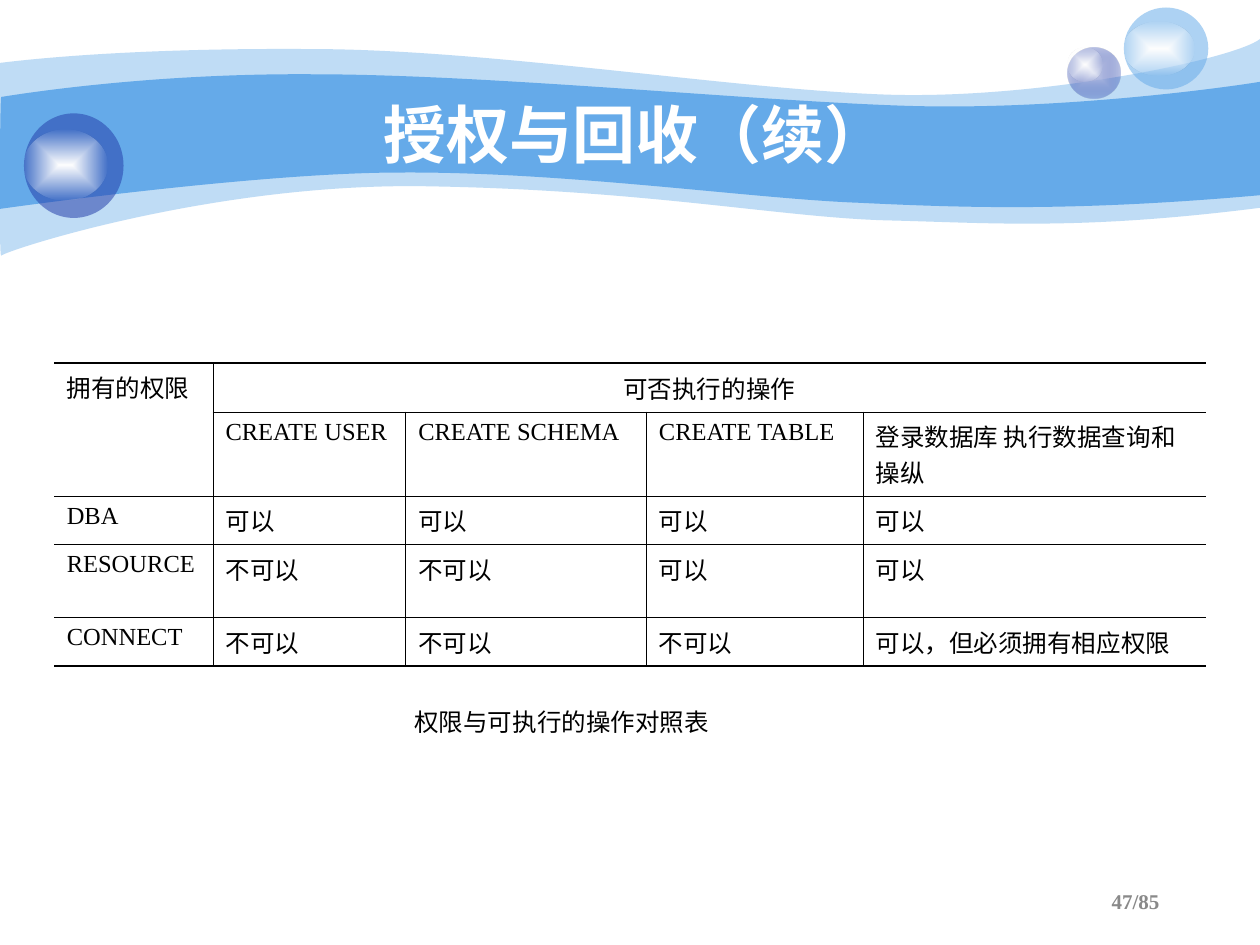
from lxml.etree import SubElement as Sub
from pptx import Presentation
from pptx.dml.color import RGBColor
from pptx.enum.shapes import MSO_SHAPE as Shape
from pptx.enum.text import MSO_ANCHOR as Anchor, MSO_AUTO_SIZE as Auto, PP_ALIGN as Align
from pptx.oxml.ns import qn
from pptx.util import Inches, Pt

# Content
TITLE = "授权与回收（续）"
CAPTION = "权限与可执行的操作对照表"
PAGE = "47/85"
ROWS = [
    ["拥有的权限", "可否执行的操作", "", "", ""],
    ["", "CREATE USER", "CREATE SCHEMA", "CREATE TABLE",
     "登录数据库 执行数据查询和操纵"],
    ["DBA", "可以", "可以", "可以", "可以"],
    ["RESOURCE", "不可以", "不可以", "可以", "可以"],
    ["CONNECT", "不可以", "不可以", "不可以", "可以，但必须拥有相应权限"],
]
WIDTHS = [1.26, 1.53, 1.91, 1.72, 2.72]
HEIGHTS = [0.39, 0.57, 0.37, 0.58, 0.37]
SERIF = "Times New Roman"

# Waves: colour, opacity, start, then parts: one point a line, three a curve
WAVES = [
    ("65AAE9", 41, (0, 0.5), [
        [(0.24, 0.47), (1.07, 0.38), (2.47, 0.39)],
        [(3.86, 0.39), (5.75, 0.7), (6.99, 0.75)],
        [(8.22, 0.8), (9.8, 0.47), (10, 0.31)],
        [(10, 1.65)],
        [(8.58, 1.83), (7.87, 1.77), (7.05, 1.75)],
        [(6.22, 1.73), (5.15, 1.51), (3.43, 1.48)],
        [(1.72, 1.44), (0.04, 1.99), (0.01, 2.03)],
        [(-0.01, 2.08), (0, 0.75), (0, 0.5)]]),
    ("65AAE9", 100, (0.01, 0.77), [
        [(0.02, 0.77), (1.1, 0.58), (2.48, 0.59)],
        [(3.86, 0.59), (5.95, 0.8), (7.18, 0.84)],
        [(8.41, 0.88), (9.76, 0.69), (10, 0.65)],
        [(10, 1.55)],
        [(8.53, 1.68), (7.65, 1.65), (6.82, 1.61)],
        [(5.99, 1.58), (4.47, 1.36), (3.17, 1.37)],
        [(2.03, 1.37), (-0.02, 1.66), (-0.01, 1.66)],
        [(0, 1.66), (0, 0.77), (0.01, 0.77)]]),
]

# Balls: box and colour stops (position, colour, opacity), each with a shine
SHINE = [(0, "FFFFFF", 100), (100, "FFFFFF", 0)]
BALLS = [
    ((8.47, 0.38, 0.42, 0.4), [(0, "C7CEE9", 100), (100, "233DA9", 31)]),
    ((8.47, 0.38, 0.28, 0.27), SHINE),
    ((8.92, 0.06, 0.67, 0.65), [(0, "65AAE9", 53)]),
    ((8.92, 0.17, 0.56, 0.43), SHINE),
    ((0.19, 0.9, 0.79, 0.83), [(0, "233DA9", 53)]),
    ((0.19, 1.03, 0.66, 0.56), SHINE),
]


def rgb(code):
    return RGBColor.from_string(code)


def tint(node, code, alpha=100):
    clr = Sub(node, qn("a:srgbClr"), val=code)
    if alpha < 100:
        Sub(clr, qn("a:alpha"), val=str(alpha * 1000))


def paint(shape, stops):
    """Fill with one colour, or with a gradient from the centre."""
    shape.shadow.inherit = False
    shape.line.fill.background()
    shape.fill.background()
    old = shape._element.spPr.find(qn("a:noFill"))
    if len(stops) == 1:
        fill = old.makeelement(qn("a:solidFill"))
        tint(fill, *stops[0][1:])
    else:
        fill = old.makeelement(qn("a:gradFill"), rotWithShape="1")
        steps = Sub(fill, qn("a:gsLst"))
        for pos, code, alpha in stops:
            tint(Sub(steps, qn("a:gs"), pos=str(pos * 1000)), code, alpha)
        way = Sub(fill, qn("a:path"), path="rect")
        Sub(way, qn("a:fillToRect"), l="50000", t="50000", r="50000", b="50000")
    old.getparent().replace(old, fill)


def wave(start, parts):
    """Build the outline, then join each run of three points as a curve."""
    pen = shapes.build_freeform(*map(Inches, start))
    pen.add_line_segments([tuple(map(Inches, dot))
                           for part in parts for dot in part])
    shape = pen.convert_to_shape()
    lines = iter(list(shape._element.iter(qn("a:lnTo"))))
    for part in parts:
        first, *rest = [next(lines) for _ in part]
        if rest:
            curve = first.makeelement(qn("a:cubicBezTo"))
            first.addprevious(curve)
            for line in (first, *rest):
                curve.append(line[0])
                line.getparent().remove(line)
    return shape


def write(frame, text, size, font, code, bold=False, align=Align.LEFT,
          anchor=Anchor.MIDDLE):
    frame.text = text
    frame.vertical_anchor = anchor
    para = frame.paragraphs[0]
    para.alignment = align
    for run in para.runs:
        run.font.size, run.font.name, run.font.bold = Pt(size), font, bold
        run.font.color.rgb = rgb(code)


def place(shape, box):
    shape.left, shape.top, shape.width, shape.height = map(Inches, box)


def rule(cell, sides):
    """Draw cell borders; sides gives a width in points, or 0 for none."""
    props = cell._tc.get_or_add_tcPr()
    for i, (side, width) in enumerate(sides.items()):
        line = props.makeelement(qn("a:ln" + side), w=str(Pt(width)))
        props.insert(i, line)
        if width:
            tint(Sub(line, qn("a:solidFill")), "000000")
        else:
            Sub(line, qn("a:noFill"))


def upright(r, c):
    """Width of the border left of column c."""
    return 0 if c in (0, len(WIDTHS)) or (r == 0 and c > 1) else 0.45


def level(r, c):
    """Width of the border above row r."""
    if r in (0, len(ROWS)):
        return 1.08
    return 0 if (r, c) == (1, 0) else 0.45


deck = Presentation()
deck.slide_width, deck.slide_height = Inches(10), Inches(7.5)
slide = deck.slides.add_slide(deck.slide_layouts[5])
shapes = slide.shapes

# Banner
for code, alpha, start, parts in WAVES:
    paint(wave(start, parts), [(0, code, alpha)])
for box, stops in BALLS:
    paint(shapes.add_shape(Shape.OVAL, *map(Inches, box)), stops)

# Title, in front of the banner
title = shapes.title
place(title, (1, 0.75, 8.08, 0.62))
write(title.text_frame, TITLE, 36, "Arial", "FFFFFF", True, Align.CENTER)
shapes._spTree.append(title._element)

# Table
box = map(Inches, (0.43, 2.88, sum(WIDTHS), sum(HEIGHTS)))
grid = shapes.add_table(len(ROWS), len(WIDTHS), *box).table
grid.first_row = grid.horz_banding = False
for col, width in zip(grid.columns, WIDTHS):
    col.width = Inches(width)
for row, height in zip(grid.rows, HEIGHTS):
    row.height = Inches(height)
grid.cell(0, 0).merge(grid.cell(1, 0))
grid.cell(0, 1).merge(grid.cell(0, 4))
for r, texts in enumerate(ROWS):
    for c, text in enumerate(texts):
        cell = grid.cell(r, c)
        cell.fill.background()
        head = (r, c) == (0, 1)
        if text:
            write(cell.text_frame, text, 14, SERIF, "000000",
                  align=Align.CENTER if head else Align.LEFT, anchor=None)
        cell.vertical_anchor = Anchor.MIDDLE if head else Anchor.TOP
        rule(cell, {"L": upright(r, c), "R": upright(r, c + 1),
                    "T": level(r, c), "B": level(r + 1, c)})

# Caption and page number
note = shapes.add_textbox(*map(Inches, (3.19, 5.56, 2.58, 0.34))).text_frame
note.word_wrap = False
note.auto_size = Auto.SHAPE_TO_FIT_TEXT
write(note, CAPTION, 14, SERIF, "000000")
page = shapes.add_textbox(*map(Inches, (6.97, 6.95, 2.33, 0.4))).text_frame
page.word_wrap = True
write(page, PAGE, 12, SERIF, "898989", True, Align.RIGHT)

deck.save("out.pptx")
